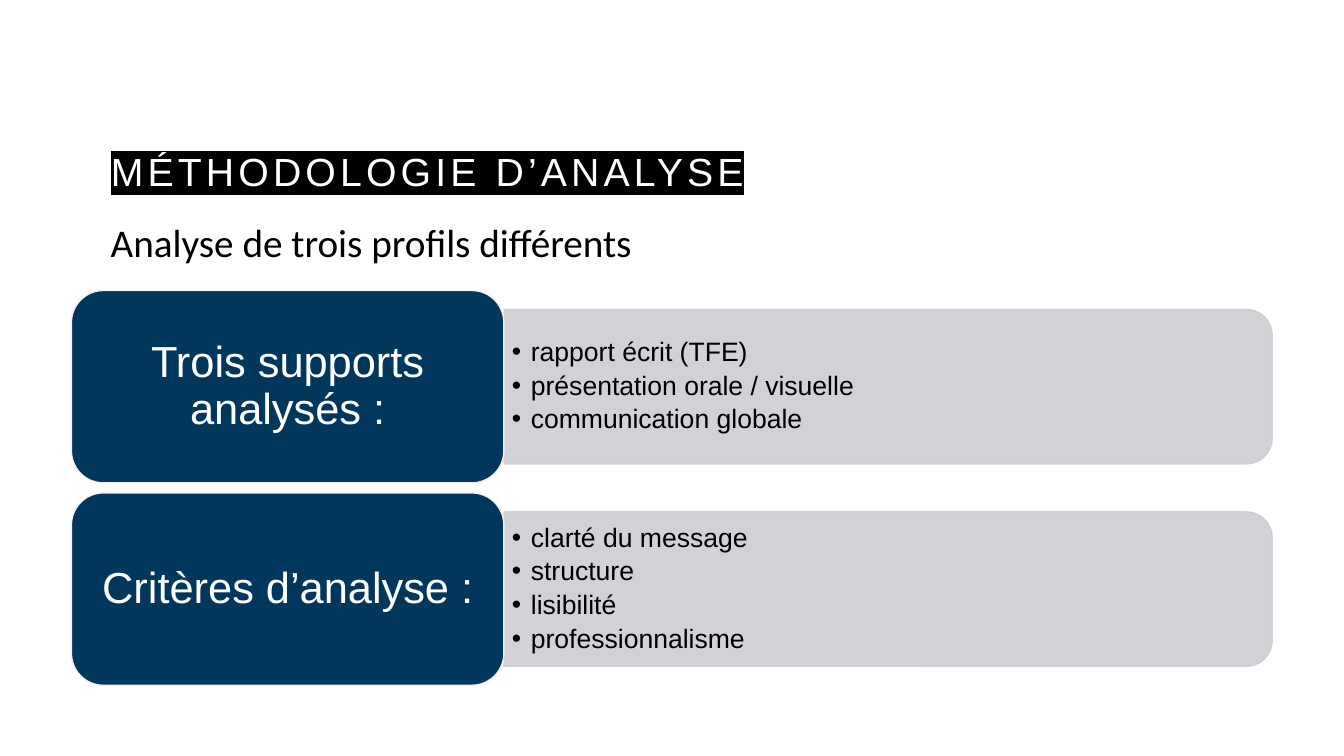
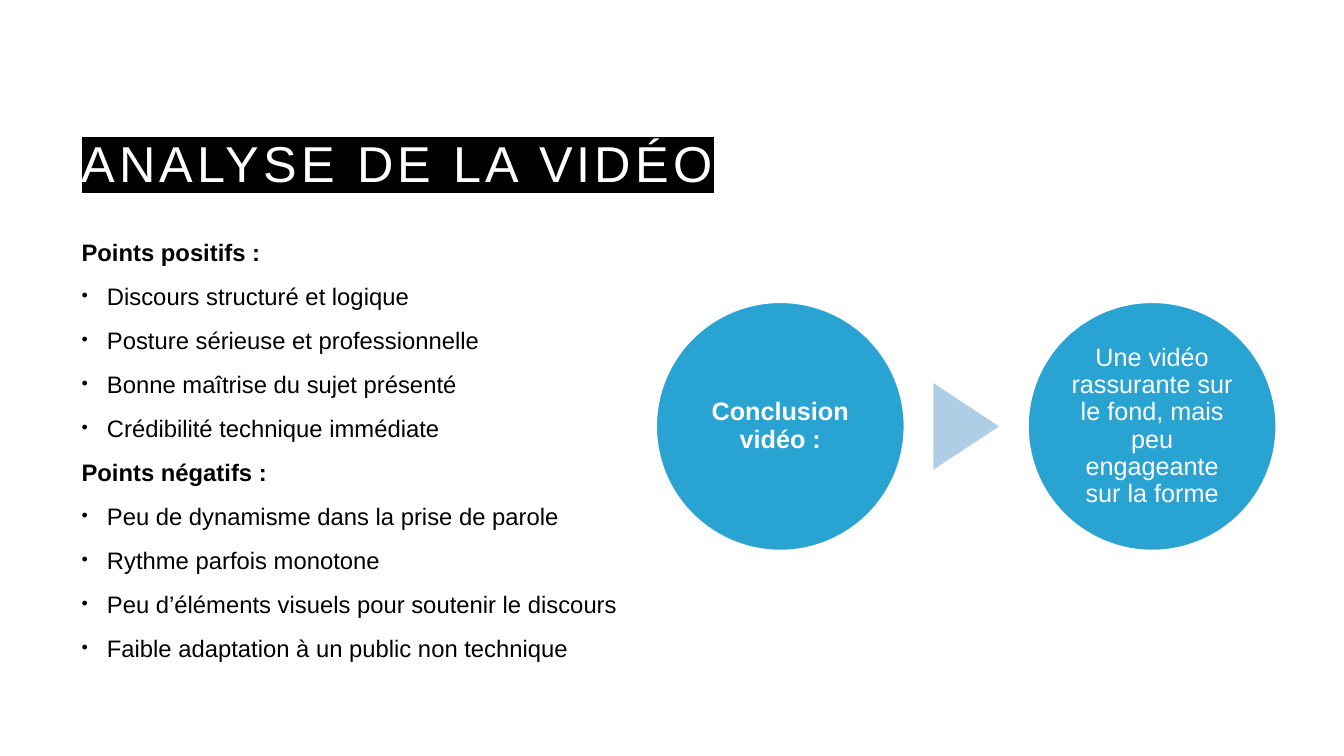
"""Build two slides on the method and the video analysis."""
from lxml.etree import SubElement
from pptx import Presentation
from pptx.dml.color import RGBColor
from pptx.enum.shapes import MSO_SHAPE
from pptx.enum.text import MSO_ANCHOR, MSO_AUTO_SIZE, PP_ALIGN
from pptx.oxml import parse_xml
from pptx.oxml.ns import nsdecls, qn
from pptx.util import Cm, Pt

BLACK = RGBColor(0x00, 0x00, 0x00)
WHITE = RGBColor(0xFF, 0xFF, 0xFF)
NAVY = RGBColor(0x01, 0x37, 0x5D)
CREAM = RGBColor(0xF3, 0xF2, 0xEF)
GREY = RGBColor(0xCC, 0xCE, 0xD2)
BLUE = RGBColor(0x29, 0xA3, 0xD2)
PALE_BLUE = RGBColor(0xAD, 0xCE, 0xE5)

TITLE_ONLY, TITLE_AND_CONTENT = 5, 1

CRITERIA = [
    ("Trois supports analysés :",
     ["rapport écrit (TFE)", "présentation orale / visuelle", "communication globale"]),
    ("Critères d’analyse :",
     ["clarté du message", "structure", "lisibilité", "professionnalisme"]),
]
POINTS = [
    ("Points positifs :",
     ["Discours structuré et logique", "Posture sérieuse et professionnelle",
      "Bonne maîtrise du sujet présenté", "Crédibilité technique immédiate"]),
    ("Points négatifs :",
     ["Peu de dynamisme dans la prise de parole", "Rythme parfois monotone",
      "Peu d’éléments visuels pour soutenir le discours",
      "Faible adaptation à un public non technique"]),
]
CONCLUSION = [
    ("Conclusion vidéo :", True),
    ("Une vidéo rassurante sur le fond, mais peu engageante sur la forme", False),
]


def place(item, left, top, width, height):
    """Set the position and size of an item, in centimetres."""
    item.left, item.top = Cm(left), Cm(top)
    item.width, item.height = Cm(width), Cm(height)


def format_runs(paragraph, size, color=BLACK, bold=False, font="Arial"):
    """Give all runs of a paragraph the same look."""
    for run in paragraph.runs:
        run.font.size = Pt(size)
        run.font.name = font
        run.font.bold = bold
        run.font.color.rgb = color


def set_bullet(paragraph, indent=0, size=100):
    """Give a paragraph a hanging bullet, or none when the indent is zero."""
    properties = paragraph._p.get_or_add_pPr()
    properties.set("marL", str(Cm(indent)))
    properties.set("indent", str(-Cm(indent)))
    if not indent:
        SubElement(properties, qn("a:buNone"))
        return
    color = SubElement(properties, qn("a:buClr"))
    SubElement(color, qn("a:srgbClr"), val=str(BLACK))
    SubElement(properties, qn("a:buSzPct"), val=str(size * 1000))
    SubElement(properties, qn("a:buFont"), typeface="Arial")
    SubElement(properties, qn("a:buChar"), char="•")


def set_insets(frame, side, edge):
    """Set the horizontal and vertical margins of a text frame."""
    frame.margin_left = frame.margin_right = Cm(side)
    frame.margin_top = frame.margin_bottom = Cm(edge)


def add_title(slide, text, size, box):
    """Fill the title with spaced white text on a black highlight."""
    title = slide.shapes.title
    place(title, *box)
    frame = title.text_frame
    frame.text = text
    frame.auto_size = MSO_AUTO_SIZE.NONE
    frame.vertical_anchor = MSO_ANCHOR.BOTTOM
    paragraph = frame.paragraphs[0]
    paragraph.alignment = PP_ALIGN.LEFT
    paragraph.line_spacing = 1.2
    format_runs(paragraph, size, WHITE)
    properties = paragraph.runs[0].font._element
    properties.set("spc", "300")
    properties.find(qn("a:solidFill")).addnext(parse_xml(
        f'<a:highlight {nsdecls("a")}><a:srgbClr val="{BLACK}"/></a:highlight>'))


def add_text_box(slide, box):
    """Add a wrapping text box and return its frame."""
    frame = slide.shapes.add_textbox(*map(Cm, box)).text_frame
    frame.word_wrap = True
    return frame


def add_figure(slide, preset, box, fill, line=None):
    """Add a flat preset shape."""
    figure = slide.shapes.add_shape(preset, *map(Cm, box))
    figure.shadow.inherit = False
    figure.fill.solid()
    figure.fill.fore_color.rgb = fill
    if line is None:
        figure.line.fill.background()
    else:
        figure.line.color.rgb = line
        figure.line.width = Pt(1)
    return figure


def add_caption(figure, text, size, insets, bold=False):
    """Centre white text inside a figure."""
    frame = figure.text_frame
    frame.word_wrap = True
    frame.vertical_anchor = MSO_ANCHOR.MIDDLE
    set_insets(frame, *insets)
    frame.text = text
    paragraph = frame.paragraphs[0]
    paragraph.alignment = PP_ALIGN.CENTER
    paragraph.line_spacing = 0.9
    format_runs(paragraph, size, WHITE, bold)


def add_band(slide, left, middle, length, thickness):
    """Add a translucent grey band rounded at its right end."""
    box = (left + (length - thickness) / 2, middle - length / 2, thickness, length)
    band = add_figure(slide, MSO_SHAPE.ROUND_2_SAME_RECTANGLE, box, GREY, GREY)
    band.rotation = 90
    for color in band._element.spPr.iter(qn("a:srgbClr")):
        SubElement(color, qn("a:alpha"), val="90000")


def add_criteria_row(slide, top, label, items):
    """Add a navy label with its grey band of bullets."""
    label_left, label_width, label_height = 1.8, 10.9, 4.85
    band_left, text_height = label_left + label_width, 3.5
    middle = top + label_height / 2
    add_band(slide, band_left, middle, 19.36, 3.89)
    frame = add_text_box(slide, (band_left, middle - text_height / 2, 19.18, text_height))
    frame.vertical_anchor = MSO_ANCHOR.MIDDLE
    set_insets(frame, 0.2, 0.1)
    frame.text = "\n".join(items)
    for paragraph in frame.paragraphs:
        paragraph.line_spacing = 0.9
        paragraph.space_after = Pt(3.5)
        set_bullet(paragraph, 0.48)
        format_runs(paragraph, 19)
    label_box = (label_left, top, label_width, label_height)
    add_caption(add_figure(slide, MSO_SHAPE.ROUNDED_RECTANGLE, label_box, NAVY, CREAM),
                label, 31, (0.33, 0.15))


def add_points(slide):
    """Fill the body with bold headings and their bullets."""
    body = slide.placeholders[1]
    place(body, 1.8, 5.82, 29.51, 10.69)
    frame = body.text_frame
    frame.auto_size = MSO_AUTO_SIZE.NONE
    lines = [(text, text == heading)
             for heading, points in POINTS for text in [heading, *points]]
    frame.text = "\n".join(text for text, _ in lines)
    for paragraph, (_, is_heading) in zip(frame.paragraphs, lines):
        paragraph.space_before = Pt(10)
        paragraph.line_spacing = 1.05
        set_bullet(paragraph, 0 if is_heading else 0.64, 75)
        format_runs(paragraph, 17, bold=is_heading)


def add_conclusion(slide):
    """Add two circles joined by a triangle pointing right."""
    left, top, diameter, pitch = 16.54, 7.62, 6.25, 9.37
    for index, (text, bold) in enumerate(CONCLUSION):
        box = (left + index * pitch, top, diameter, diameter)
        circle = add_figure(slide, MSO_SHAPE.OVAL, box, BLUE, WHITE)
        add_caption(circle, text, 18, (0.08, 0.08), bold)
    base, depth = 2.18, 1.65
    center_x, center_y = left + (diameter + pitch) / 2, top + diameter / 2
    pointer_box = (center_x - base / 2, center_y - depth / 2, base, depth)
    pointer = add_figure(slide, MSO_SHAPE.ISOSCELES_TRIANGLE, pointer_box, PALE_BLUE)
    pointer.rotation = 90


def build_method_slide(deck):
    """Build the slide on the analysis method."""
    slide = deck.slides.add_slide(deck.slide_layouts[TITLE_ONLY])
    add_title(slide, "MÉTHODOLOGIE D’ANALYSE", 28, (2.54, 2.54, 23.32, 2.49))
    for index, (label, items) in enumerate(CRITERIA):
        add_criteria_row(slide, 7.32 + index * 5.1, label, items)
    subtitle = add_text_box(slide, (2.54, 5.38, 14.76, 1.45))
    subtitle.text = "Analyse de trois profils différents"
    format_runs(subtitle.paragraphs[0], 28, font="Calibri")


def build_video_slide(deck):
    """Build the slide on the video analysis."""
    slide = deck.slides.add_slide(deck.slide_layouts[TITLE_AND_CONTENT])
    add_title(slide, "ANALYSE DE LA VIDÉO", 36, (1.8, 1.8, 29.51, 3.18))
    add_points(slide)
    add_conclusion(slide)


def main():
    """Build and save the presentation."""
    deck = Presentation()
    deck.slide_width, deck.slide_height = Cm(33.87), Cm(19.05)
    build_method_slide(deck)
    build_video_slide(deck)
    deck.save("out.pptx")


if __name__ == "__main__":
    main()
